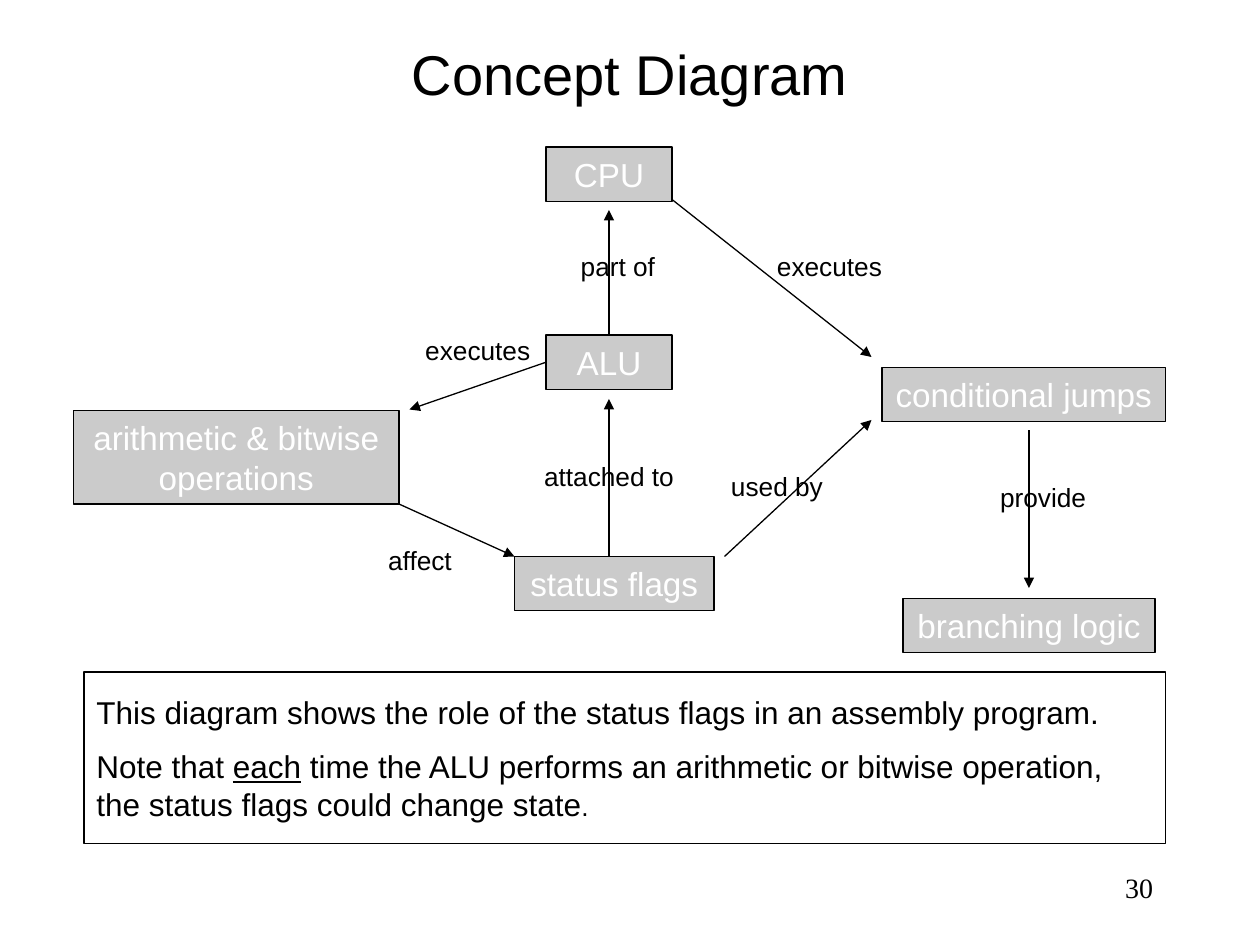
from dataclasses import dataclass

from lxml.etree import SubElement
from pptx import Presentation
from pptx.dml.color import RGBColor
from pptx.enum.shapes import MSO_CONNECTOR, MSO_SHAPE
from pptx.enum.text import MSO_ANCHOR, PP_ALIGN
from pptx.oxml.ns import qn
from pptx.util import Pt


@dataclass(frozen=True)
class Theme:
    ink: RGBColor = RGBColor(0, 0, 0)
    box_fill: RGBColor = RGBColor(0xCB, 0xCB, 0xCB)
    box_text: RGBColor = RGBColor(0xFF, 0xFF, 0xFF)
    font: str = "Arial"
    number_font: str = "Times New Roman"
    title_size: float = 32
    concept_size: float = 19
    note_size: float = 18
    number_size: float = 16
    label_size: float = 15
    line_width: float = 0.75


THEME = Theme()
TOP, LEFT = 0, 1

CONCEPTS = {
    "CPU": (312, 84, 72, 31),
    "ALU": (312, 191.5, 72, 31),
    "status flags": (294, 318, 114, 31),
    "conditional jumps": (504, 210, 162, 31),
    "branching logic": (516, 342, 144, 31),
    "arithmetic & bitwise operations": (42, 234.5, 186, 53.5),
}

ARROWS = [
    ((348, 192), (348, 120), ("ALU", TOP)),
    ((312, 210), (234, 234), ("ALU", LEFT)),
    ((384, 114), (498, 204), None),
    ((228, 288), (294, 318), None),
    ((348, 318), (348, 228), None),
    ((414, 318), (498, 240), None),
    ((588, 246), (588, 336), None),
]

LABELS = [
    (" part of", 312, 132, 78),
    ("executes", 402, 132, 144),
    ("executes", 228, 180, 90),
    ("attached to", 276, 252, 144),
    ("used by", 372, 258, 144),
    (" provide", 522, 264, 144),
    ("affect", 168, 300, 144),
]

NOTE = [
    [("This diagram shows the role of the status flags in an assembly program.", {})],
    [
        ("Note that ", {}),
        ("each", {"underline": True}),
        (" time the ALU performs an arithmetic or bitwise operation, "
         "the status flags could change state", {}),
        (".", {"size": Pt(THEME.label_size)}),
    ],
]


def set_frame(shape, horizontal, vertical):
    frame = shape.text_frame
    frame.word_wrap = True
    frame.vertical_anchor = MSO_ANCHOR.MIDDLE
    frame.margin_left = frame.margin_right = Pt(horizontal)
    frame.margin_top = frame.margin_bottom = Pt(vertical)
    return frame


def style_paragraph(paragraph, size, color=THEME.ink, font=THEME.font,
                    alignment=PP_ALIGN.CENTER):
    paragraph.alignment = alignment
    paragraph.font.name = font
    paragraph.font.size = Pt(size)
    paragraph.font.color.rgb = color


def add_text(slide, text, bounds, size, vertical=3.6, **style):
    shape = slide.shapes.add_textbox(*map(Pt, bounds))
    paragraph = set_frame(shape, 7.2, vertical).paragraphs[0]
    paragraph.text = text
    style_paragraph(paragraph, size, **style)


def add_rectangle(slide, bounds):
    shape = slide.shapes.add_shape(MSO_SHAPE.RECTANGLE, *map(Pt, bounds))
    shape.shadow.inherit = False
    shape.line.color.rgb = THEME.ink
    shape.line.width = Pt(THEME.line_width)
    return shape


def add_concept(slide, text, bounds):
    shape = add_rectangle(slide, bounds)
    shape.fill.solid()
    shape.fill.fore_color.rgb = THEME.box_fill
    paragraph = set_frame(shape, 3.6, 3.6).paragraphs[0]
    paragraph.text = text
    style_paragraph(paragraph, THEME.concept_size, THEME.box_text)
    return shape


def add_arrow(slide, start, end, joint, concepts):
    connector = slide.shapes.add_connector(
        MSO_CONNECTOR.STRAIGHT, *map(Pt, start + end))
    if joint:
        name, side = joint
        connector.begin_connect(concepts[name], side)
    connector.line.color.rgb = THEME.ink
    connector.line.width = Pt(THEME.line_width)
    SubElement(connector.line._get_or_add_ln(), qn("a:tailEnd"), type="triangle")
    SubElement(connector._element.spPr, qn("a:effectLst"))


def add_note(slide, bounds):
    shape = add_rectangle(slide, bounds)
    shape.fill.background()
    frame = set_frame(shape, 7.2, 10.8)
    for index, runs in enumerate(NOTE):
        paragraph = frame.add_paragraph() if index else frame.paragraphs[0]
        style_paragraph(paragraph, THEME.note_size, alignment=PP_ALIGN.LEFT)
        if index:
            paragraph.space_before = Pt(THEME.note_size / 2)
        for text, emphasis in runs:
            run = paragraph.add_run()
            run.text = text
            for attribute, value in emphasis.items():
                setattr(run.font, attribute, value)


def main():
    presentation = Presentation()
    presentation.slide_width, presentation.slide_height = Pt(720), Pt(540)
    slide = presentation.slides.add_slide(presentation.slide_layouts[6])

    add_text(slide, "30", (588, 492, 78, 30), THEME.number_size,
             font=THEME.number_font, alignment=PP_ALIGN.RIGHT)
    add_text(slide, "Concept Diagram", (54, 18, 612, 48), THEME.title_size)
    concepts = {text: add_concept(slide, text, bounds)
                for text, bounds in CONCEPTS.items()}
    for start, end, joint in ARROWS:
        add_arrow(slide, start, end, joint, concepts)
    for text, left, top, width in LABELS:
        add_text(slide, text, (left, top, width, 39.5), THEME.label_size, 10.8)
    add_note(slide, (48, 384, 618, 98))

    presentation.save("out.pptx")


if __name__ == "__main__":
    main()
